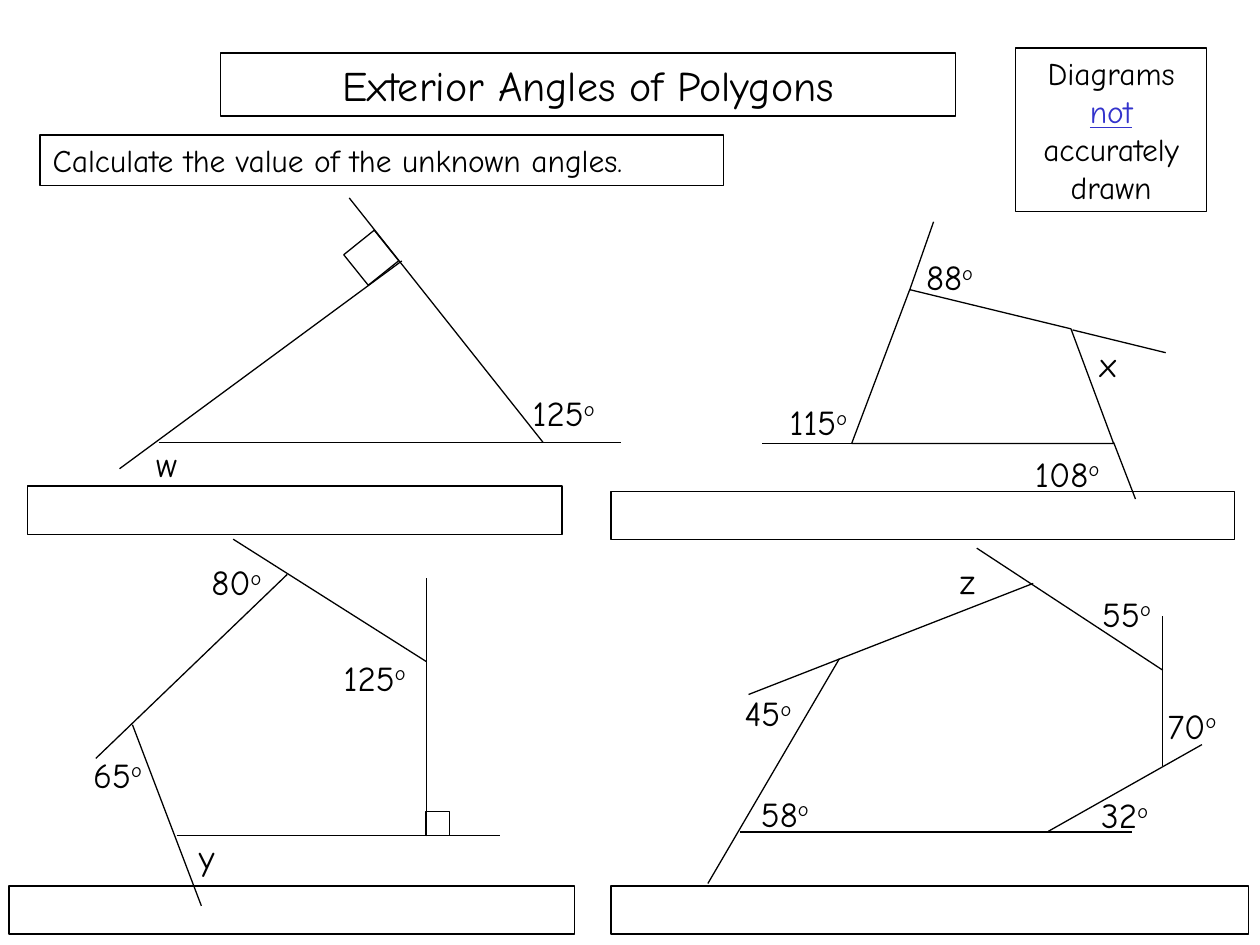
from dataclasses import dataclass

from lxml import etree
from pptx import Presentation
from pptx.dml.color import RGBColor
from pptx.enum.shapes import MSO_CONNECTOR, MSO_SHAPE
from pptx.enum.text import MSO_ANCHOR, PP_ALIGN
from pptx.oxml.ns import qn
from pptx.shapes.base import BaseShape
from pptx.slide import Slide
from pptx.text.text import TextFrame
from pptx.util import Cm, Pt

BLACK = RGBColor(0x00, 0x00, 0x00)
BLUE = RGBColor(0x33, 0x33, 0xCC)
FONT = "Comic Neue"
LINE_WIDTH = Pt(0.75)
RECTANGLE = MSO_SHAPE.RECTANGLE
STRAIGHT = MSO_CONNECTOR.STRAIGHT
TOP = MSO_ANCHOR.TOP
LEFT = PP_ALIGN.LEFT
CENTER = PP_ALIGN.CENTER

Point = tuple[float, float]


@dataclass(frozen=True)
class Box:
    left: float
    top: float
    width: float
    height: float
    rotation: float = 0


@dataclass(frozen=True)
class Side:
    start: Point
    end: Point


@dataclass(frozen=True)
class AngleLabel:
    text: str
    left: float
    top: float


TITLE_BOX = Box(4.45, 1.07, 14.81, 1.27)
INSTRUCTION_BOX = Box(0.81, 2.72, 13.77, 1.02)
NOTICE_BOX = Box(20.47, 0.97, 3.86, 3.3)

ANSWER_BOXES = [
    Box(0.56, 9.8, 10.77, 0.97),
    Box(12.32, 9.91, 12.57, 0.97),
    Box(0.18, 17.86, 11.4, 0.97),
    Box(12.32, 17.86, 12.85, 0.97),
]
RIGHT_ANGLE_MARKS = [
    Box(7.09, 4.8, 0.79, 0.79, 321.2),
    Box(8.59, 16.36, 0.48, 0.48),
]

TRIANGLE_SIDES = [
    Side((3.2, 8.92), (12.52, 8.92)),
    Side((2.41, 9.45), (8.1, 5.26)),
    Side((10.95, 8.92), (7.04, 3.99)),
]
QUADRILATERAL = [(22.45, 8.94), (17.17, 8.94), (18.34, 5.84), (21.59, 6.63)]
QUADRILATERAL_EXTENSIONS = [
    Side((17.2, 8.94), (15.37, 8.94)),
    Side((18.34, 5.84), (18.82, 4.47)),
    Side((21.62, 6.65), (23.5, 7.11)),
    Side((22.45, 8.92), (22.89, 10.06)),
]
PENTAGON_SIDES = [
    Side((3.56, 16.84), (10.08, 16.84)),
    Side((8.6, 16.86), (8.6, 11.66)),
    Side((8.6, 13.34), (4.7, 10.87)),
    Side((5.79, 11.58), (1.93, 15.29)),
    Side((2.67, 14.61), (4.06, 18.26)),
]
HEXAGON_SIDES = [
    Side((14.91, 16.77), (22.83, 16.77)),
    Side((14.27, 17.81), (16.92, 13.28)),
    Side((15.09, 14), (20.83, 11.76)),
    Side((19.69, 11.05), (23.44, 13.51)),
    Side((23.44, 12.42), (23.44, 15.44)),
    Side((24.23, 15.01), (21.13, 16.76)),
]
SIDES = TRIANGLE_SIDES + QUADRILATERAL_EXTENSIONS + PENTAGON_SIDES + HEXAGON_SIDES

ANGLE_LABELS = [
    AngleLabel("125", 10.49, 7.77),
    AngleLabel("w", 2.9, 8.79),
    AngleLabel("88", 18.42, 5.03),
    AngleLabel("x", 21.92, 6.78),
    AngleLabel("108", 20.62, 8.99),
    AngleLabel("115", 15.67, 7.95),
    AngleLabel("80", 4.01, 11.18),
    AngleLabel("125", 6.68, 13.11),
    AngleLabel("y", 3.76, 16.71),
    AngleLabel("65", 1.63, 15.06),
    AngleLabel("z", 19.1, 11.15),
    AngleLabel("55", 21.97, 11.81),
    AngleLabel("70", 23.29, 14.07),
    AngleLabel("32", 21.95, 15.88),
    AngleLabel("58", 15.09, 15.85),
    AngleLabel("45", 14.76, 13.82),
]


def outline(shape: BaseShape) -> None:
    shape.fill.background()
    shape.line.color.rgb = BLACK
    shape.line.width = LINE_WIDTH


def add_box(slide: Slide, box: Box) -> BaseShape:
    shape = slide.shapes.add_shape(
        RECTANGLE, Cm(box.left), Cm(box.top), Cm(box.width), Cm(box.height)
    )
    shape.rotation = box.rotation
    shape.shadow.inherit = False
    outline(shape)
    return shape


def add_side(slide: Slide, side: Side) -> None:
    points = [Cm(value) for value in (*side.start, *side.end)]
    connector = slide.shapes.add_connector(STRAIGHT, *points)
    connector.line.color.rgb = BLACK
    connector.line.width = LINE_WIDTH
    etree.SubElement(connector._element.spPr, qn("a:effectLst"))


def add_polygon(slide: Slide, corners: list[Point]) -> None:
    first, *others = [(Cm(x), Cm(y)) for x, y in corners]
    builder = slide.shapes.build_freeform(*first)
    builder.add_line_segments(others, close=True)
    shape = builder.convert_to_shape()
    shape.shadow.inherit = False
    outline(shape)


def write_text(
    frame: TextFrame, texts: list[str], size: float, alignment: PP_ALIGN
) -> None:
    frame.word_wrap = True
    frame.vertical_anchor = TOP
    paragraph = frame.paragraphs[0]
    paragraph.alignment = alignment
    for text in texts:
        paragraph.add_run().text = text
    paragraph.font.name = FONT
    paragraph.font.size = Pt(size)
    paragraph.font.color.rgb = BLACK


def add_angle_label(slide: Slide, label: AngleLabel) -> None:
    is_known = label.text.isdigit()
    width = 2.11 if is_known else 1.22
    frame = slide.shapes.add_textbox(
        Cm(label.left), Cm(label.top), Cm(width), Cm(1.12)
    ).text_frame
    write_text(frame, [label.text, "o"] if is_known else [label.text], 20, LEFT)
    if is_known:
        degree = frame.paragraphs[0].runs[1]
        degree._r.get_or_add_rPr().set("baseline", "30000")


def add_title(slide: Slide) -> None:
    title = slide.shapes.title
    title.left, title.top = Cm(TITLE_BOX.left), Cm(TITLE_BOX.top)
    title.width, title.height = Cm(TITLE_BOX.width), Cm(TITLE_BOX.height)
    outline(title)
    write_text(title.text_frame, ["Exterior Angles of Polygons"], 24, CENTER)


def add_notice(slide: Slide) -> None:
    frame = add_box(slide, NOTICE_BOX).text_frame
    write_text(frame, ["Diagrams ", "not", " accurately drawn"], 18, CENTER)
    emphasis = frame.paragraphs[0].runs[1].font
    emphasis.color.rgb = BLUE
    emphasis.underline = True


def main() -> None:
    presentation = Presentation()
    presentation.slide_width = Cm(25.4)
    presentation.slide_height = Cm(19.05)
    slide = presentation.slides.add_slide(presentation.slide_layouts[5])
    add_title(slide)
    instruction = add_box(slide, INSTRUCTION_BOX).text_frame
    write_text(instruction, ["Calculate the value of the unknown angles."], 18, LEFT)
    add_notice(slide)
    for box in ANSWER_BOXES + RIGHT_ANGLE_MARKS:
        add_box(slide, box)
    add_polygon(slide, QUADRILATERAL)
    for side in SIDES:
        add_side(slide, side)
    for label in ANGLE_LABELS:
        add_angle_label(slide, label)
    presentation.save("out.pptx")


if __name__ == "__main__":
    main()
